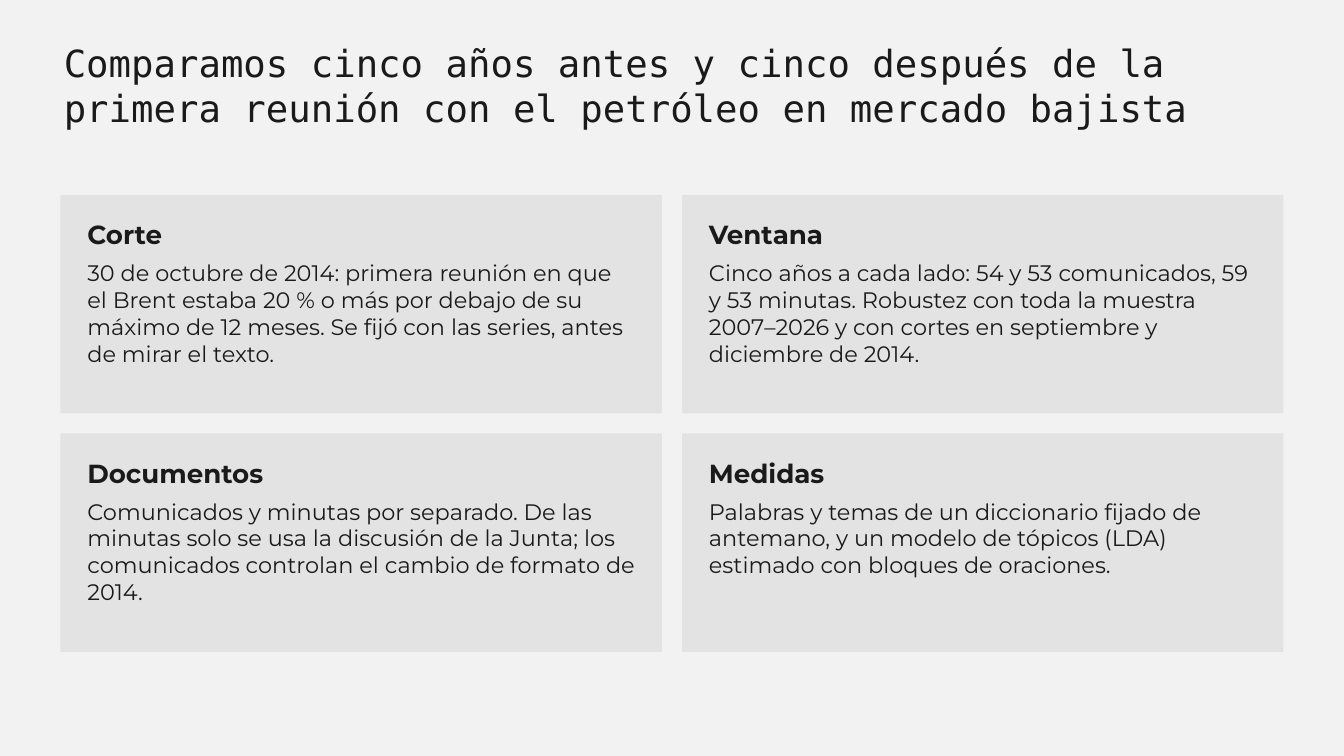
from pptx import Presentation
from pptx.dml.color import RGBColor
from pptx.enum import shapes, text
from pptx.util import Inches, Pt

BACKGROUND = RGBColor(0xF2, 0xF2, 0xF2)
CARD_FILL = RGBColor(0xE3, 0xE3, 0xE3)
INK = RGBColor(0x1A, 0x1A, 0x1A)
TITLE_FONT = "DejaVu Sans Mono"
BODY_FONT = "Montserrat"

MARGIN = 0.9
CONTENT_WIDTH = 18.2
GRID_TOP = 2.9
GRID_HEIGHT = 6.8
GAP = 0.3

TITLE = ("Comparamos cinco años antes y cinco después de la primera reunión "
         "con el petróleo en mercado bajista")
CARDS = [
    ("Corte",
     "30 de octubre de 2014: primera reunión en que el Brent estaba 20 % o más "
     "por debajo de su máximo de 12 meses. Se fijó con las series, antes de "
     "mirar el texto."),
    ("Ventana",
     "Cinco años a cada lado: 54 y 53 comunicados, 59 y 53 minutas. Robustez "
     "con toda la muestra 2007–2026 y con cortes en septiembre y diciembre "
     "de 2014."),
    ("Documentos",
     "Comunicados y minutas por separado. De las minutas solo se usa la "
     "discusión de la Junta; los comunicados controlan el cambio de formato "
     "de 2014."),
    ("Medidas",
     "Palabras y temas de un diccionario fijado de antemano, y un modelo de "
     "tópicos (LDA) estimado con bloques de oraciones."),
]


def add_text_box(slide, left, top, width, height):
    box = slide.shapes.add_textbox(
        Inches(left), Inches(top), Inches(width), Inches(height))
    frame = box.text_frame
    frame.word_wrap = True
    frame.auto_size = text.MSO_AUTO_SIZE.SHAPE_TO_FIT_TEXT
    frame.margin_left = frame.margin_right = Inches(0.05)
    frame.margin_top = frame.margin_bottom = Inches(0.05)
    return frame


def write(paragraph, content, *, size, font=BODY_FONT, bold=False, after=10):
    run = paragraph.add_run()
    run.text = content
    run.font.name = font
    run.font.size = Pt(size)
    run.font.bold = bold
    run.font.color.rgb = INK
    paragraph.space_after = Pt(after)


def add_title(slide, left, top, width, height):
    frame = add_text_box(slide, left, top, width, height)
    write(frame.paragraphs[0], TITLE, size=40, font=TITLE_FONT, after=6)


def add_card(slide, heading, body, left, top, width, height):
    card = slide.shapes.add_shape(
        shapes.MSO_SHAPE.RECTANGLE,
        Inches(left), Inches(top), Inches(width), Inches(height))
    card.shadow.inherit = False
    card.fill.solid()
    card.fill.fore_color.rgb = CARD_FILL
    card.line.fill.background()

    frame = add_text_box(
        slide, left + 0.35, top + 0.3, width - 0.7, height - 0.45)
    write(frame.paragraphs[0], heading, size=28, bold=True)
    write(frame.add_paragraph(), body, size=24)


def add_card_grid(slide, left, top, width, height, columns=2):
    rows = len(CARDS) // columns
    card_width = (width - GAP * (columns - 1)) / columns
    card_height = (height - GAP * (rows - 1)) / rows
    for index, (heading, body) in enumerate(CARDS):
        row, column = divmod(index, columns)
        add_card(slide, heading, body,
                 left + column * (card_width + GAP),
                 top + row * (card_height + GAP),
                 card_width, card_height)


def main():
    presentation = Presentation()
    presentation.slide_width = Inches(20)
    presentation.slide_height = Inches(11.25)
    slide = presentation.slides.add_slide(presentation.slide_layouts[6])
    slide.background.fill.solid()
    slide.background.fill.fore_color.rgb = BACKGROUND
    add_title(slide, MARGIN, 0.55, CONTENT_WIDTH, 1.9)
    add_card_grid(slide, MARGIN, GRID_TOP, CONTENT_WIDTH, GRID_HEIGHT)
    presentation.save("out.pptx")


if __name__ == "__main__":
    main()
